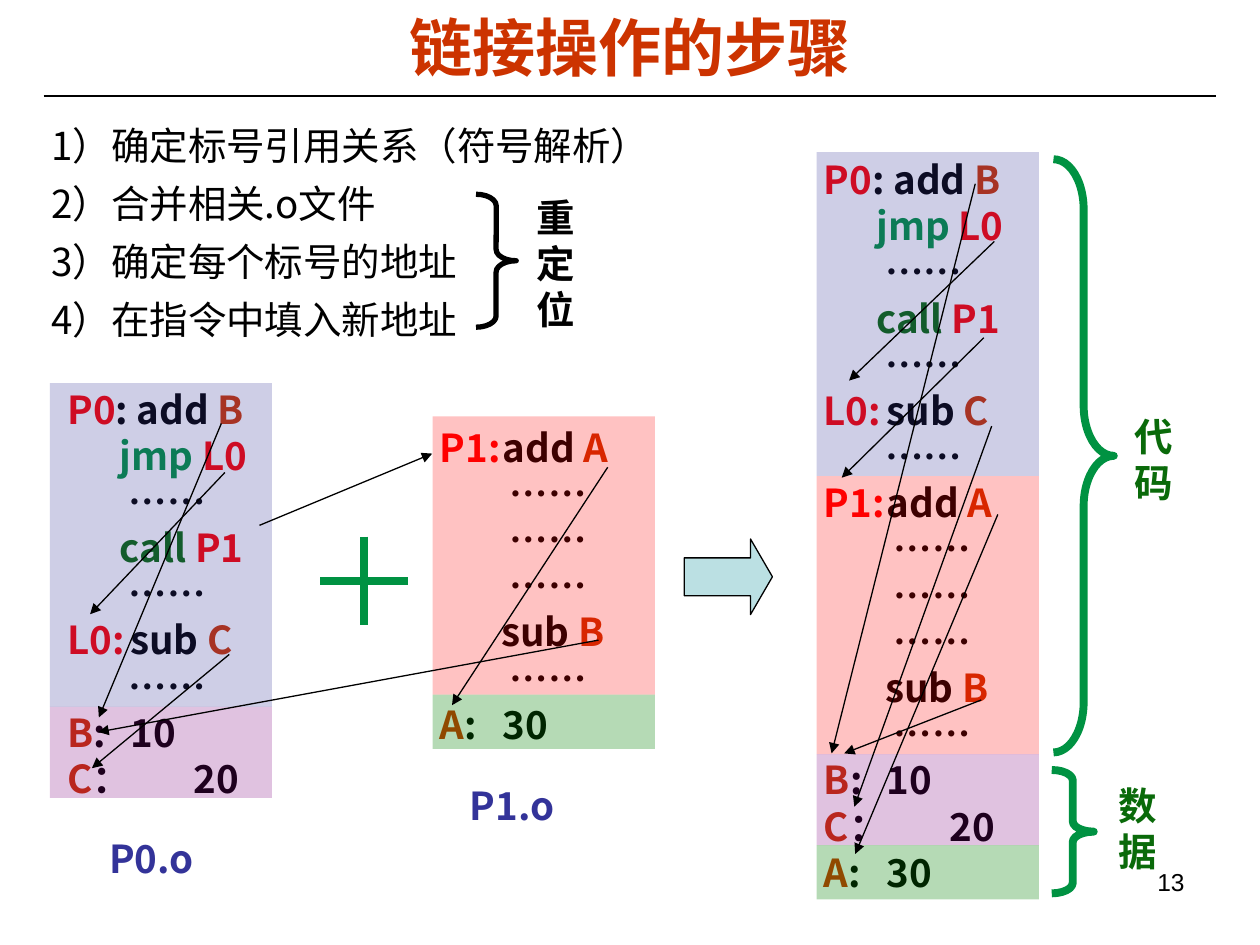
from pptx import Presentation
from pptx.dml.color import RGBColor
from pptx.enum.shapes import MSO_CONNECTOR as CONN, MSO_SHAPE as SHAPE
from pptx.enum.text import MSO_ANCHOR as ANCHOR, PP_ALIGN as ALIGN
from pptx.oxml.ns import qn
from pptx.util import Pt
from lxml.etree import SubElement

ARIAL, CJK = "Arial", "Noto Sans CJK SC"
BLACK, RED, RUST = "000000", "FF0000", "CC3300"
GREEN, DARK_GREEN, BLUE = "009242", "0A6A0A", "333399"
SIZE, LEADING, SPACE = 22, 26.4, 5
MODULE_W = 127


def dots(spaces):
    return spaces, 0, [("……", BLACK)]


P0_CODE = (BLUE, 24, 185, [
    (0, 0, [("P0", RED), (": add ", BLACK), ("B", RUST)]),
    (6, 0, [("jmp ", GREEN), ("L0", RED)]),
    dots(7),
    (6, 0, [("call ", DARK_GREEN), ("P1", RED)]),
    dots(7),
    (0, 41, [("L0:\t", RED), ("sub ", BLACK), ("C", RUST)]),
    dots(7),
])
P1_CODE = (RED, 24, 159, [
    (0, 43.5, [("P1:\t", RED), ("add ", BLACK), ("A", RUST)]),
    dots(8), dots(8), dots(8),
    (7, 0, [("sub ", BLACK), ("B", RUST)]),
    dots(8),
])
P0_DATA = ("800080", 24, 52, [
    (0, 46, [("B", RUST), (":\t10", BLACK)]),
    (0, 55, [("C", RUST), ("：\t20", BLACK)]),
])
P1_DATA = ("008000", 29, 31, [(0, 40.5, [("A", RUST), (":\t30", BLACK)])])


def rgb(value):
    return RGBColor.from_string(value)


def add_run(p, text, color, size=SIZE, font=CJK, bold=True):
    r = p.add_run()
    r.text = text
    f = r.font
    f.size, f.bold, f.name = Pt(size), bold, font
    f.color.rgb = rgb(color)
    SubElement(r._r.get_or_add_rPr(), qn("a:ea"), typeface=CJK)


def add_box(s, x, y, w, h):
    tf = s.shapes.add_textbox(Pt(x), Pt(y), Pt(w), Pt(h)).text_frame
    tf.word_wrap = True
    return tf


def next_paragraph(tf, i):
    return tf.add_paragraph() if i else tf.paragraphs[0]


def add_label(s, x, y, w, h, text, color, font=CJK):
    p = add_box(s, x, y, w, h).paragraphs[0]
    p.line_spacing = Pt(LEADING)
    add_run(p, text, color, font=font)


def add_line(s, x1, y1, x2, y2, color=BLACK, width=0.75, arrow=False):
    c = s.shapes.add_connector(CONN.STRAIGHT, Pt(x1), Pt(y1), Pt(x2), Pt(y2))
    c.line.color.rgb = rgb(color)
    c.line.width = Pt(width)
    if arrow:
        SubElement(c.line._get_or_add_ln(), qn("a:tailEnd"), type="triangle")
    SubElement(c._element.spPr, qn("a:effectLst"))


def add_preset(s, kind, x, y, w, h, adjustments=()):
    sp = s.shapes.add_shape(kind, Pt(x), Pt(y), Pt(w), Pt(h))
    sp.shadow.inherit = False
    for i, value in enumerate(adjustments):
        sp.adjustments[i] = value
    return sp


def add_band(s, x, y, w, h, color, alpha):
    sp = add_preset(s, SHAPE.RECTANGLE, x, y, w, h)
    sp.fill.solid()
    sp.fill.fore_color.rgb = rgb(color)
    clr = sp.fill._xPr.find(qn("a:solidFill"))[0]
    SubElement(clr, qn("a:alpha"), val=str(alpha * 1000))
    sp.line.fill.background()


def add_code_line(p, spaces, tab, runs):
    p.line_spacing = Pt(LEADING)
    pPr = p._p.get_or_add_pPr()
    pPr.set("marL", str(Pt(spaces * SPACE)))
    pPr.set("indent", "0")
    if tab:
        tabs = SubElement(pPr, qn("a:tabLst"))
        SubElement(tabs, qn("a:tab"), pos=str(Pt(tab)), algn="l")
    for text, color in runs:
        add_run(p, text, color)


def add_module(s, x, y, text_dx, text_dy, sections, arrows):
    lines = [line for section in sections for line in section[3]]
    tf = add_box(s, x + text_dx, y + text_dy, 147, len(lines) * LEADING + 7.2)
    for i, line in enumerate(lines):
        add_code_line(next_paragraph(tf, i), *line)
    top = y
    for color, alpha, h, _ in sections:
        add_band(s, x, top, MODULE_W, h, color, alpha)
        top += h
    for x1, y1, x2, y2 in arrows:
        add_line(s, x + x1, y + y1, x + x2, y + y2, arrow=True)


def add_brace(s, x, y, w, h, curve, color, width, text, text_box, text_color):
    sp = add_preset(s, SHAPE.RIGHT_BRACE, x, y, w, h, (curve, 0.5))
    sp.fill.background()
    sp.line.color.rgb = rgb(color)
    sp.line.width = Pt(width)
    dx, dy, tw, th = text_box
    add_label(s, x + dx, y + dy, tw, th, text, text_color, ARIAL)


def add_title(s, x, y, w, h, text):
    t = s.shapes.title
    t.left, t.top, t.width, t.height = Pt(x), Pt(y), Pt(w), Pt(h)
    tf = t.text_frame
    tf.vertical_anchor = ANCHOR.MIDDLE
    p = tf.paragraphs[0]
    p.alignment = ALIGN.CENTER
    add_run(p, text, RUST, 36, ARIAL)
    add_line(s, x - 11, y + 50.5, x + w + 11, y + 50.5)


def add_steps(s, x, y, w, h, steps):
    tf = add_box(s, x, y, w, h)
    for i, step in enumerate(steps):
        p = next_paragraph(tf, i)
        p.line_spacing = Pt(LEADING * 1.05)
        p.space_before = Pt(5.5)
        pPr = p._p.get_or_add_pPr()
        pPr.set("marL", str(Pt(27)))
        pPr.set("indent", str(-Pt(27)))
        add_run(p, step, BLACK, bold=False)


def add_plus(s, x, y, side):
    mid = side / 2
    add_line(s, x, y + mid, x + side, y + mid, GREEN, 4.5)
    add_line(s, x + mid, y, x + mid, y + side, GREEN, 4.5)


def add_block_arrow(s, x, y, w, h):
    sp = add_preset(s, SHAPE.RIGHT_ARROW, x, y, w, h, (0.5, 0.29))
    sp.fill.solid()
    sp.fill.fore_color.rgb = rgb("BBE0E3")
    sp.line.color.rgb = rgb(BLACK)
    sp.line.width = Pt(0.75)


def add_page_number(s, x, y, w, h, text):
    p = add_box(s, x, y, w, h).paragraphs[0]
    p.alignment = ALIGN.RIGHT
    add_run(p, text, BLACK, 14, ARIAL, False)


def main():
    prs = Presentation()
    prs.slide_width, prs.slide_height = Pt(720), Pt(540)
    s = prs.slides.add_slide(prs.slide_layouts[5])
    add_title(s, 36, 4.3, 648, 44, "链接操作的步骤")
    add_steps(s, 22.3, 64.8, 379.5, 135.4, [
        "1）确定标号引用关系（符号解析）", "2）合并相关.o文件",
        "3）确定每个标号的地址", "4）在指令中填入新地址"])
    add_brace(s, 272, 111, 23, 76, 0.28, BLACK, 3,
              "重定位", (27.5, -3.7, 42.5, 86.4), BLACK)
    add_plus(s, 183, 306.7, 50.4)
    add_block_arrow(s, 391, 308, 50.4, 43.2)
    add_brace(s, 602, 91, 34.5, 339, 0.83, GREEN, 4.5,
              "代码", (39, 141.6, 50.4, 60.5), DARK_GREEN)
    add_brace(s, 601, 440, 24, 70.5, 0.25, GREEN, 4.5,
              "数据", (31, 3.5, 50.4, 60.5), DARK_GREEN)
    add_module(s, 466.7, 87, -3, -1.4, [P0_CODE, P1_CODE, P0_DATA, P1_DATA], [
        (90.6, 18, 8.5, 343.5), (94, 313, 15.7, 343.5),
        (103.5, 207, 22, 401), (100, 156.5, 21.5, 374),
        (101.5, 51, 18.5, 130.5), (95.5, 106, 14.3, 186)])
    add_module(s, 247.3, 238, -3, 0.5, [P1_CODE, P1_DATA],
               [(100, 29, 11, 165)])
    add_label(s, 261.4, 443.5, 73.4, 34, "P1.o", BLUE)
    add_module(s, 28.5, 219, 3, -2.2, [P0_CODE, P0_DATA], [
        (100, 51, 23, 132), (98, 23, 28, 191), (102.5, 155, 24, 220)])
    add_label(s, 55.4, 473.8, 73.4, 34, "P0.o", BLUE)
    add_line(s, 148.3, 300.2, 247, 259.2, arrow=True)
    add_line(s, 342, 365.8, 56.2, 418.3, arrow=True)
    add_page_number(s, 516.2, 491.8, 167.8, 37.4, "13")
    prs.save("out.pptx")


if __name__ == "__main__":
    main()
